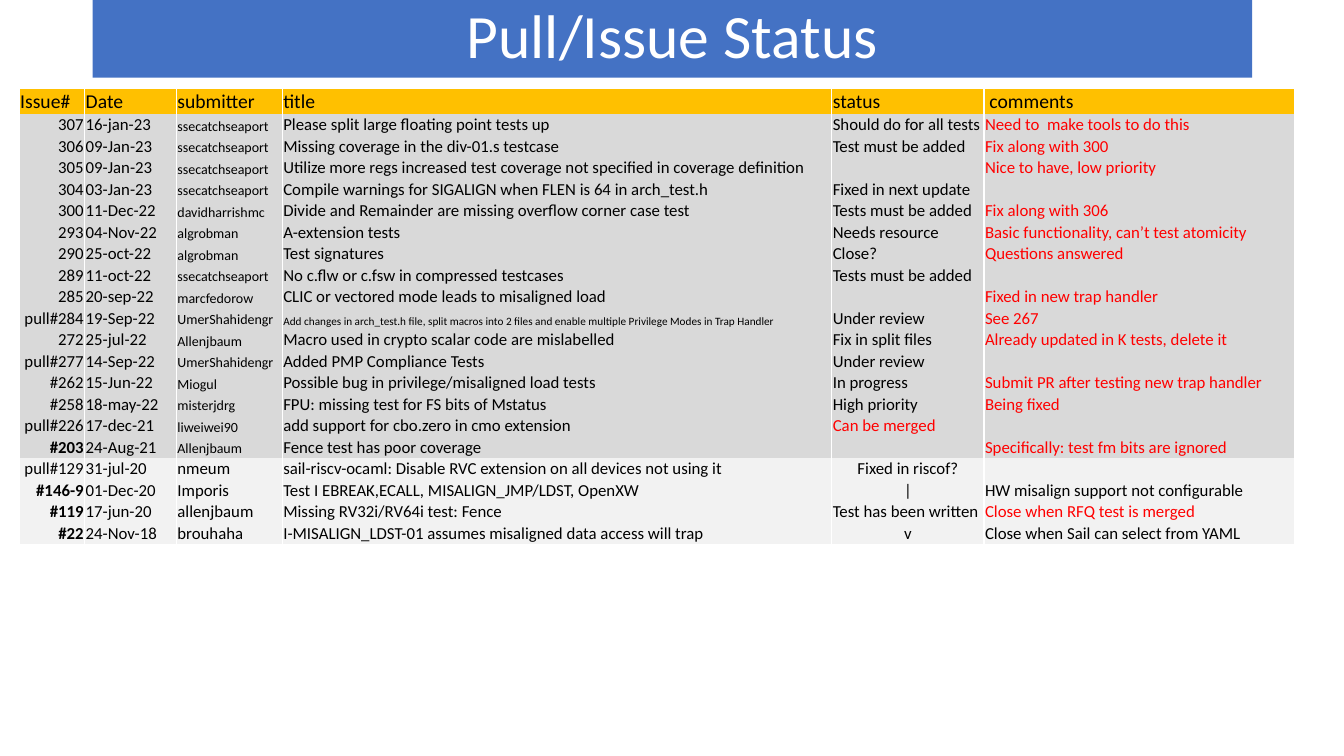
from lxml import etree
from pptx import Presentation
from pptx import util as u
from pptx.dml.color import RGBColor
from pptx.enum import shapes, text
from pptx.oxml.ns import qn

PX = 9144
BLUE, GOLD, GRAY, PALE = "4472C4", "FFC000", "D9D9D9", "F2F2F2"
WHITE, BLACK, RED = "FFFFFF", "000000", "FF0000"
LEFT, CENTER, RIGHT = text.PP_ALIGN.LEFT, text.PP_ALIGN.CENTER, text.PP_ALIGN.RIGHT
BOTTOM, MIDDLE = text.MSO_ANCHOR.BOTTOM, text.MSO_ANCHOR.MIDDLE

COLUMNS = [65, 91, 105, 545, 151, 308]
HEADINGS = ("Issue#", "Date", "submitter", "title", "status", " comments")
OPEN_ISSUES = [
    ("307", "16-jan-23", "ssecatchseaport", "Please split large floating point tests up",
     "Should do for all tests", "Need to  make tools to do this"),
    ("306", "09-Jan-23", "ssecatchseaport", "Missing coverage in the div-01.s testcase",
     "Test must be added", "Fix along with 300"),
    ("305", "09-Jan-23", "ssecatchseaport",
     "Utilize more regs increased test coverage not specified in coverage definition",
     "", "Nice to have, low priority"),
    ("304", "03-Jan-23", "ssecatchseaport",
     "Compile warnings for SIGALIGN when FLEN is 64 in arch_test.h", "Fixed in next update", ""),
    ("300", "11-Dec-22", "davidharrishmc",
     "Divide and Remainder are missing overflow corner case test",
     "Tests must be added", "Fix along with 306"),
    ("293", "04-Nov-22", "algrobman", "A-extension tests",
     "Needs resource", "Basic functionality, can’t test atomicity"),
    ("290", "25-oct-22", "algrobman", "Test signatures", "Close?", "Questions answered"),
    ("289", "11-oct-22", "ssecatchseaport", "No c.flw or c.fsw in compressed testcases",
     "Tests must be added", ""),
    ("285", "20-sep-22", "marcfedorow", "CLIC or vectored mode leads to misaligned load",
     "", "Fixed in new trap handler"),
    ("pull#284", "19-Sep-22", "UmerShahidengr",
     "Add changes in arch_test.h file, split macros into 2 files and enable multiple "
     "Privilege Modes in Trap Handler", "Under review", "See 267"),
    ("272", "25-jul-22", "Allenjbaum", "Macro used in crypto scalar code are mislabelled",
     "Fix in split files", "Already updated in K tests, delete it"),
    ("pull#277", "14-Sep-22", "UmerShahidengr", "Added PMP Compliance Tests", "Under review", ""),
    ("#262", "15-Jun-22", "Miogul", "Possible bug in privilege/misaligned load tests",
     "In progress", "Submit PR after testing new trap handler"),
    ("#258", "18-may-22", "misterjdrg", "FPU: missing test for FS bits of Mstatus",
     "High priority", "Being fixed"),
    ("pull#226", "17-dec-21", "liweiwei90", "add support for cbo.zero in cmo extension",
     "Can be merged", ""),
    ("#203", "24-Aug-21", "Allenjbaum", "Fence test has poor coverage",
     "", "Specifically: test fm bits are ignored"),
]
OLD_ISSUES = [
    ("pull#129", "31-jul-20", "nmeum",
     "sail-riscv-ocaml: Disable RVC extension on all devices not using it",
     "Fixed in riscof?", ""),
    ("#146-9", "01-Dec-20", "Imporis", "Test I EBREAK,ECALL, MISALIGN_JMP/LDST, OpenXW",
     "|", "HW misalign support not configurable"),
    ("#119", "17-jun-20", "allenjbaum", "Missing RV32i/RV64i test: Fence",
     "Test has been written", "Close when RFQ test is merged"),
    ("#22", "24-Nov-18", "brouhaha",
     "I-MISALIGN_LDST-01 assumes misaligned data access will trap",
     "v", "Close when Sail can select from YAML"),
]
BOLD_ISSUES = {"#203", "#146-9", "#119", "#22"}
CENTERED_STATUSES = {"Fixed in riscof?", "|", "v"}
BLACK_COMMENTS = {"HW misalign support not configurable", "Close when Sail can select from YAML"}


def color(code):
    return RGBColor.from_string(code)


def assign(target, values):
    for name, value in values.items():
        setattr(target, name, value)


def issue_format(column, words, old):
    heading = HEADINGS[column]
    style = {"size": 12}
    if heading == "Issue#":
        style.update(align=RIGHT, bold=words in BOLD_ISSUES)
    elif heading == "submitter" and not old:
        style["size"] = 10
    elif heading == "title" and len(words) > 100:
        style["size"] = 8
    elif heading == "status" and words in CENTERED_STATUSES:
        style["align"] = CENTER
    elif heading == "status" and words == "Can be merged":
        style["ink"] = RED
    elif column == len(HEADINGS) - 1 and words not in BLACK_COMMENTS:
        style["ink"] = RED
    return style


class StatusPage:
    font = "Calibri"

    def __init__(self, deck):
        self.page = deck.slides.add_slide(deck.slide_layouts[6])

    def label(self, frame, words, size, ink=BLACK, align=LEFT, bold=False):
        para = frame.paragraphs[0]
        para.alignment = align
        if not words:
            etree.SubElement(para._p, qn("a:endParaRPr"), sz=str(size * 100))
            return para
        span = para.add_run()
        span.text = words
        assign(span.font, {"name": self.font, "size": u.Pt(size), "bold": bold})
        span.font.color.rgb = color(ink)
        return para

    def banner(self, left, top, width, height, words):
        box = self.page.shapes.add_shape(
            shapes.MSO_SHAPE.RECTANGLE, left * PX, top * PX, width * PX, height * PX)
        box.shadow.inherit = False
        box.fill.solid()
        box.fill.fore_color.rgb = color(BLUE)
        box.line.fill.background()
        assign(box.text_frame, {"word_wrap": True, "vertical_anchor": MIDDLE})
        para = self.label(box.text_frame, words, 44, WHITE, CENTER)
        para.line_spacing = 0.9

    def cell(self, cell, words, fill, **style):
        properties = cell._tc.get_or_add_tcPr()
        for side in ("lnL", "lnR", "lnT", "lnB"):
            edge = etree.SubElement(properties, qn("a:" + side), w=str(u.Pt(1)))
            if side in ("lnL", "lnR"):
                paint = etree.SubElement(edge, qn("a:solidFill"))
                etree.SubElement(paint, qn("a:srgbClr"), val=WHITE)
            else:
                etree.SubElement(edge, qn("a:noFill"))
        cell.fill.solid()
        cell.fill.fore_color.rgb = color(fill)
        assign(cell, {"margin_left": PX, "margin_right": PX, "margin_top": PX,
                      "margin_bottom": 0, "vertical_anchor": BOTTOM})
        self.label(cell.text_frame, words, **style)

    def table(self, left, top, heading_height, row_height):
        issues = OPEN_ISSUES + OLD_ISSUES
        height = heading_height + row_height * len(issues)
        table = self.page.shapes.add_table(
            len(issues) + 1, len(COLUMNS), left * PX, top * PX,
            sum(COLUMNS) * PX, height * PX).table
        assign(table, {"first_row": False, "horz_banding": False})
        for column, width in zip(table.columns, COLUMNS):
            column.width = width * PX
        for row in table.rows:
            row.height = row_height * PX
        table.rows[0].height = heading_height * PX
        for column, heading in enumerate(HEADINGS):
            self.cell(table.cell(0, column), heading, GOLD, size=14)
        for number, issue in enumerate(issues, 1):
            old = number > len(OPEN_ISSUES)
            for column, words in enumerate(issue):
                self.cell(table.cell(number, column), words, PALE if old else GRAY,
                          **issue_format(column, words, old))


def main():
    deck = Presentation()
    assign(deck, {"slide_width": 1333 * PX, "slide_height": 750 * PX})
    status = StatusPage(deck)
    status.banner(92, 0, 1150, 77, "Pull/Issue Status")
    status.table(19, 88, 24, 21)
    deck.save("out.pptx")


if __name__ == "__main__":
    main()
